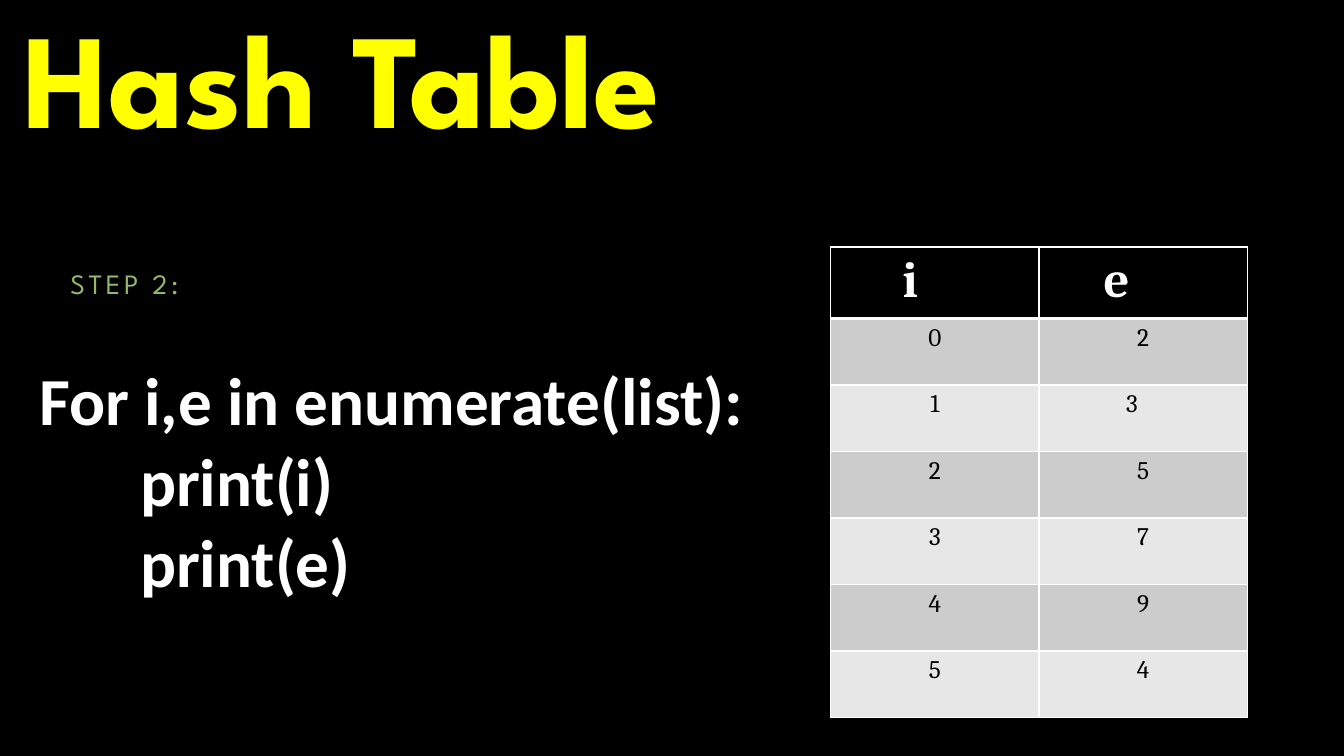
from dataclasses import dataclass

from lxml.etree import SubElement
from pptx import Presentation
from pptx.dml.color import RGBColor
from pptx.enum.text import MSO_ANCHOR as Anchor, MSO_AUTO_SIZE as AutoSize, PP_ALIGN as Align
from pptx.oxml.ns import qn
from pptx.util import Inches, Pt


@dataclass(frozen=True)
class Theme:
    background: str = "000000"
    title: str = "FFFF00"
    step: str = "96B86B"
    light: str = "FFFFFF"
    dark: str = "000000"
    bands: tuple = ("CCCCCC", "E7E7E7")
    display_font: str = "League Spartan"
    code_font: str = "Calibri"
    table_font: str = "Cambria"
    title_size: int = 96
    step_size: int = 20
    code_size: int = 48
    header_size: int = 36
    cell_size: int = 18
    rule: int = 1
    header_rule: int = 3


class SlideBuilder:
    def __init__(self, deck, theme):
        self.theme = theme
        self.page = deck.slides.add_slide(deck.slide_layouts[5])
        fill = self.page.background.fill
        fill.solid()
        fill.fore_color.rgb = RGBColor.from_string(theme.background)

    def style(self, para, name, size, color, bold=False):
        font = para.font
        font.name, font.size, font.bold = name, Pt(size), bold
        font.color.rgb = RGBColor.from_string(color)

    def title(self, text, left, top, width, height):
        box = self.page.shapes.title
        box.left, box.top, box.width, box.height = map(Inches, (left, top, width, height))
        frame = box.text_frame
        frame.text = text
        frame.word_wrap, frame.auto_size = True, AutoSize.NONE
        frame.vertical_anchor = Anchor.BOTTOM
        para = frame.paragraphs[0]
        para.alignment, para.line_spacing = Align.LEFT, 0.8
        self.style(para, self.theme.display_font, self.theme.title_size, self.theme.title, True)

    def text_box(self, left, top, width, height, text):
        box = self.page.shapes.add_textbox(*map(Inches, (left, top, width, height)))
        frame = box.text_frame
        frame.word_wrap = True
        frame.text = text
        return frame.paragraphs

    def step(self, text, *place):
        para = self.text_box(*place, text)[0]
        para.line_spacing = 0.9
        self.style(para, self.theme.display_font, self.theme.step_size, self.theme.step)
        para.runs[0]._r.get_or_add_rPr().set("spc", "250")

    def code(self, lines, *place):
        """Write lines of code, indenting all but the first."""
        for number, para in enumerate(self.text_box(*place, "\n".join(lines))):
            self.style(para, self.theme.code_font, self.theme.code_size, self.theme.light, True)
            if number:
                para._p.get_or_add_pPr().set("marL", str(Inches(1)))

    def borders(self, cell, top, bottom):
        properties = cell._tc.get_or_add_tcPr()
        widths = {"lnL": self.theme.rule, "lnR": self.theme.rule, "lnT": top, "lnB": bottom}
        for position, (side, width) in enumerate(widths.items()):
            line = SubElement(properties, qn(f"a:{side}"), w=str(Pt(width)))
            SubElement(SubElement(line, qn("a:solidFill")), qn("a:srgbClr"), val=self.theme.light)
            properties.insert(position, line)

    def cell(self, cell, text, fill, size, color, bold, alignment):
        cell.text = text
        cell.fill.solid()
        cell.fill.fore_color.rgb = RGBColor.from_string(fill)
        para = cell.text_frame.paragraphs[0]
        para.alignment = alignment
        self.style(para, self.theme.table_font, size, color, bold)

    def table(self, headers, rows, left, top, width, header_height, row_height):
        theme = self.theme
        height = header_height + row_height * len(rows)
        place = map(Inches, (left, top, width, height))
        grid = self.page.shapes.add_table(len(rows) + 1, len(headers), *place).table
        for row in grid.rows:
            row.height = Inches(row_height)
        grid.rows[0].height = Inches(header_height)
        for column, (text, indent) in enumerate(headers):
            head = grid.cell(0, column)
            head.margin_left = Inches(indent)
            self.cell(head, text, theme.dark, theme.header_size, theme.light, True, Align.LEFT)
            self.borders(head, theme.rule, theme.header_rule)
        for number, values in enumerate(rows, 1):
            band = theme.bands[(number - 1) % 2]
            rule_above = theme.header_rule if number == 1 else theme.rule
            for column, value in enumerate(values):
                item = grid.cell(number, column)
                self.cell(item, str(value), band, theme.cell_size, theme.dark, False, Align.CENTER)
                self.borders(item, rule_above, theme.rule)
        return grid


def main():
    deck = Presentation()
    deck.slide_width, deck.slide_height = Inches(13.33), Inches(7.5)
    slide = SlideBuilder(deck, Theme())
    slide.title("Hash Table", 0.13, -1.92, 9.67, 3.5)
    slide.step("STEP 2:", 0.6, 2.63, 7.83, 1.08)
    slide.code(["For i,e in enumerate(list):", "print(i)", "print(e)"], 0.29, 3.51, 7.48, 2.52)
    elements = [2, 3, 5, 7, 9, 4]
    grid = slide.table([("i", 0.71), ("e", 0.64)], list(enumerate(elements)),
                       8.24, 2.45, 4.13, 0.71, 0.66)
    grid.cell(2, 1).margin_right = Inches(0.32)  # this value sits left of centre
    deck.save("out.pptx")


if __name__ == "__main__":
    main()
